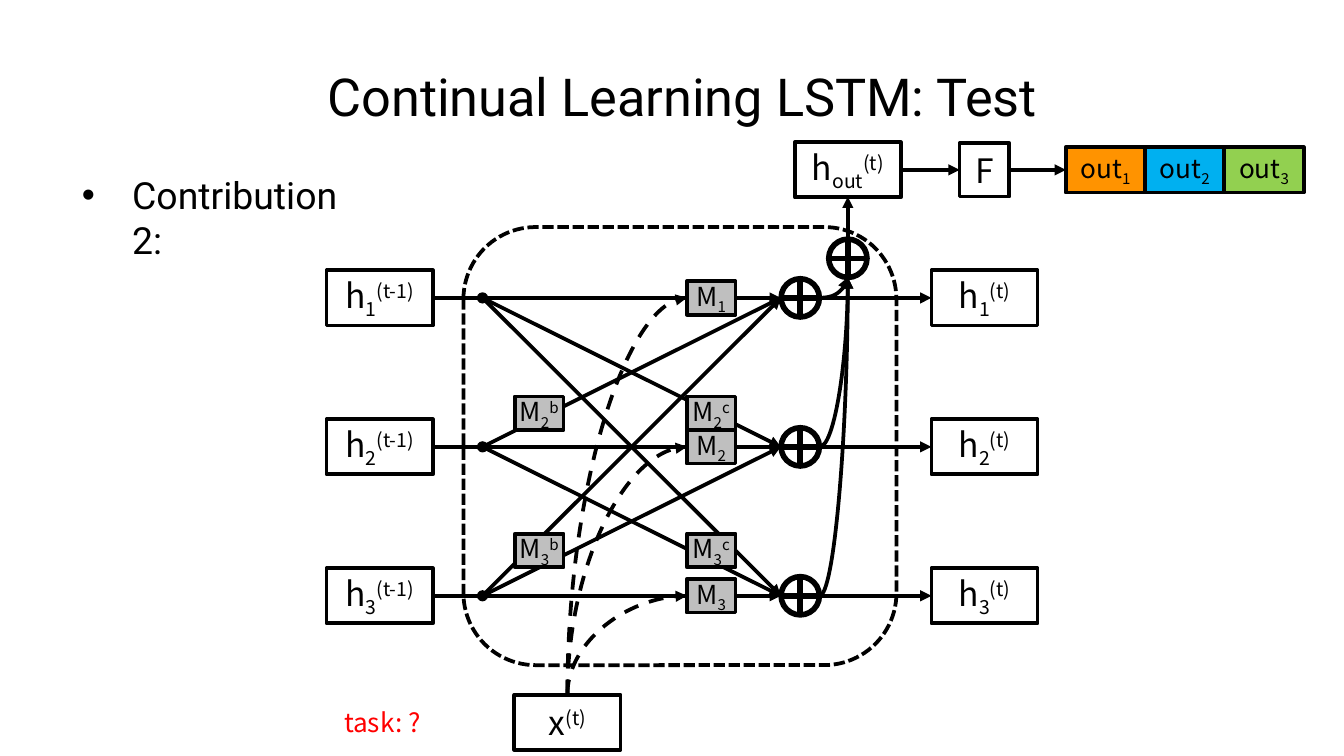
from itertools import product

from lxml import etree
from pptx import Presentation
from pptx import util as u
from pptx.dml.color import RGBColor
from pptx.enum import dml, shapes, text
from pptx.oxml.ns import qn

Pt = u.Pt
SHAPE = shapes.MSO_SHAPE
SANS = "Noto Sans CJK JP"


def color(value):
    return RGBColor.from_string(value)


def write(box, parts, size=18, font=SANS, ink="000000", align=text.PP_ALIGN.CENTER,
          anchor=text.MSO_ANCHOR.MIDDLE, wrap=True, grow=True, inset=None):
    frame = box.text_frame
    frame.word_wrap = wrap
    frame.vertical_anchor = anchor
    frame.auto_size = text.MSO_AUTO_SIZE.SHAPE_TO_FIT_TEXT if grow else text.MSO_AUTO_SIZE.NONE
    if inset is not None:
        frame.margin_left = frame.margin_right = Pt(inset)
        frame.margin_top = frame.margin_bottom = Pt(inset)
    para = frame.paragraphs[0]
    para.alignment = align
    for words, baseline in zip(parts, (0, -25000, 30000)):
        if not words:
            continue
        span = para.add_run()
        span.text = words
        span.font.size = Pt(size)
        span.font.name = font
        span.font.color.rgb = color(ink)
        if baseline:
            span.font._element.set("baseline", str(baseline))
    return para


class Diagram:
    ink = "000000"
    weight = 2

    def __init__(self, page):
        self.page = page

    def stroke(self, line, weight=None, dash=None):
        line.color.rgb = color(self.ink)
        line.width = Pt(weight or self.weight)
        if dash:
            line.dash_style = dash

    def shape(self, kind, x, y, width, height, fill=None, **line):
        box = self.page.shapes.add_shape(
            kind, Pt(x - width / 2), Pt(y - height / 2), Pt(width), Pt(height))
        box.shadow.inherit = False
        if fill:
            box.fill.solid()
            box.fill.fore_color.rgb = color(fill)
        else:
            box.fill.background()
        self.stroke(box.line, **line)
        return box

    def node(self, x, y, parts, width=56.9, height=29.5, fill=None, **style):
        write(self.shape(SHAPE.RECTANGLE, x, y, width, height, fill), parts, **style)

    def mask(self, x, y, *parts):
        self.node(x, y, ("M", *parts), 26.1, 18, "BFBFBF",
                  size=14, wrap=False, grow=False, inset=0)

    def adder(self, x, y):
        self.shape(SHAPE.FLOWCHART_OR, x, y, 20.5, 20.5, "FFFFFF", weight=3)

    def label(self, left, top, width, height, words, **style):
        box = self.page.shapes.add_textbox(Pt(left), Pt(top), Pt(width), Pt(height))
        return write(box, (words,), **style)

    def line(self, start, end, tail="triangle", kind=shapes.MSO_CONNECTOR.STRAIGHT, dash=None):
        link = self.page.shapes.add_connector(kind, *map(Pt, (*start, *end)))
        self.stroke(link.line, dash=dash)
        properties = link._element.spPr
        etree.SubElement(properties.find(qn("a:ln")), qn("a:tailEnd"), type=tail)
        etree.SubElement(properties, qn("a:effectLst"))
        return link

    def curve(self, start, end, upright=False, dash=None):
        link = self.line(start, end, kind=shapes.MSO_CONNECTOR.CURVE, dash=dash)
        properties = link._element.spPr
        properties.find(qn("a:prstGeom")).set("prst", "curvedConnector2")
        if upright:
            (x1, y1), (x2, y2) = start, end
            width, height = abs(y2 - y1), abs(x2 - x1)
            link.left, link.top = Pt((x1 + x2 - width) / 2), Pt((y1 + y2 - height) / 2)
            link.width, link.height = Pt(width), Pt(height)
            frame = properties.find(qn("a:xfrm"))
            for name, value in (("rot", "5400000"), ("flipH", "1"), ("flipV", "1")):
                frame.set(name, value)


deck = Presentation()
deck.slide_width, deck.slide_height = Pt(720), Pt(405)
page = deck.slides.add_slide(deck.slide_layouts[6])
diagram = Diagram(page)

ROWS = [159.6 + 79.8 * row for row in range(3)]
INPUT, JOINT, MASK, ADDER, OUTPUT = 203.4, 258.5, 381, 428.7, 527.4
ADDER_LEFT, ADDER_RIGHT = 418.3, 439.1
BACK_MASK, TOP_ADDER, TOP = 288.9, 454.2, 91

diagram.label(79.2, 7.9, 572.4, 87.1, "Continual Learning LSTM: Test",
              size=28, font="Roboto", grow=False)
diagram.shape(SHAPE.ROUNDED_RECTANGLE, 364.3, 239.0, 232, 234.7, dash=dml.MSO_LINE.SQUARE_DOT)

for source, target in product(ROWS, ROWS):
    diagram.line((JOINT, source), (ADDER_LEFT, target))

for number, y in (("2", 221.4), ("3", 294.9)):
    diagram.mask(MASK, y, number, "c")
    diagram.mask(BACK_MASK, y, number, "b")

for number, y in enumerate(ROWS, 1):
    diagram.mask(MASK, y, str(number))
    diagram.node(INPUT, y, ("h", str(number), "(t-1)"))
    diagram.node(OUTPUT, y, ("h", str(number), "(t)"))
    diagram.adder(ADDER, y)
    diagram.line((ADDER_RIGHT, y), (499, y))
    diagram.line((231.8, y), (JOINT, y), tail="oval")

diagram.adder(TOP_ADDER, 138.4)
diagram.node(TOP_ADDER, TOP, ("h", "out", "(t)"))
diagram.line((TOP_ADDER, 128.2), (TOP_ADDER, 105.4))
diagram.node(304, 387, ("x", "", "(t)"))

for y in ROWS:
    diagram.curve((304, 372.2), (368, y), upright=True, dash=dml.MSO_LINE.DASH)
    diagram.curve((ADDER_RIGHT, y), (TOP_ADDER, 148.6))

diagram.node(OUTPUT, TOP, ("F",), 26.6, 28.8)
diagram.line((482.6, TOP), (514.1, TOP))
diagram.line((540.7, TOP), (571, TOP))
for index, fill in enumerate(("FF9300", "00B0F0", "92D050")):
    diagram.node(592.2 + 42.5 * index, TOP, ("out", str(index + 1)), 42.5, 24.4, fill, size=14)

diagram.label(176.4, 374.4, 56.9, 24.4, "task: ?", size=14, ink="FF0000")
item = diagram.label(36.7, 88.6, 169.2, 31.7, "Contribution 2:", size=20, font="Roboto",
                     align=text.PP_ALIGN.LEFT, anchor=text.MSO_ANCHOR.TOP)
settings = item._p.get_or_add_pPr()
settings.set("marL", str(Pt(27)))
settings.set("indent", str(Pt(-27)))
etree.SubElement(settings, qn("a:buFont"), typeface="Arial")
etree.SubElement(settings, qn("a:buChar"), char="•")

deck.save("out.pptx")
